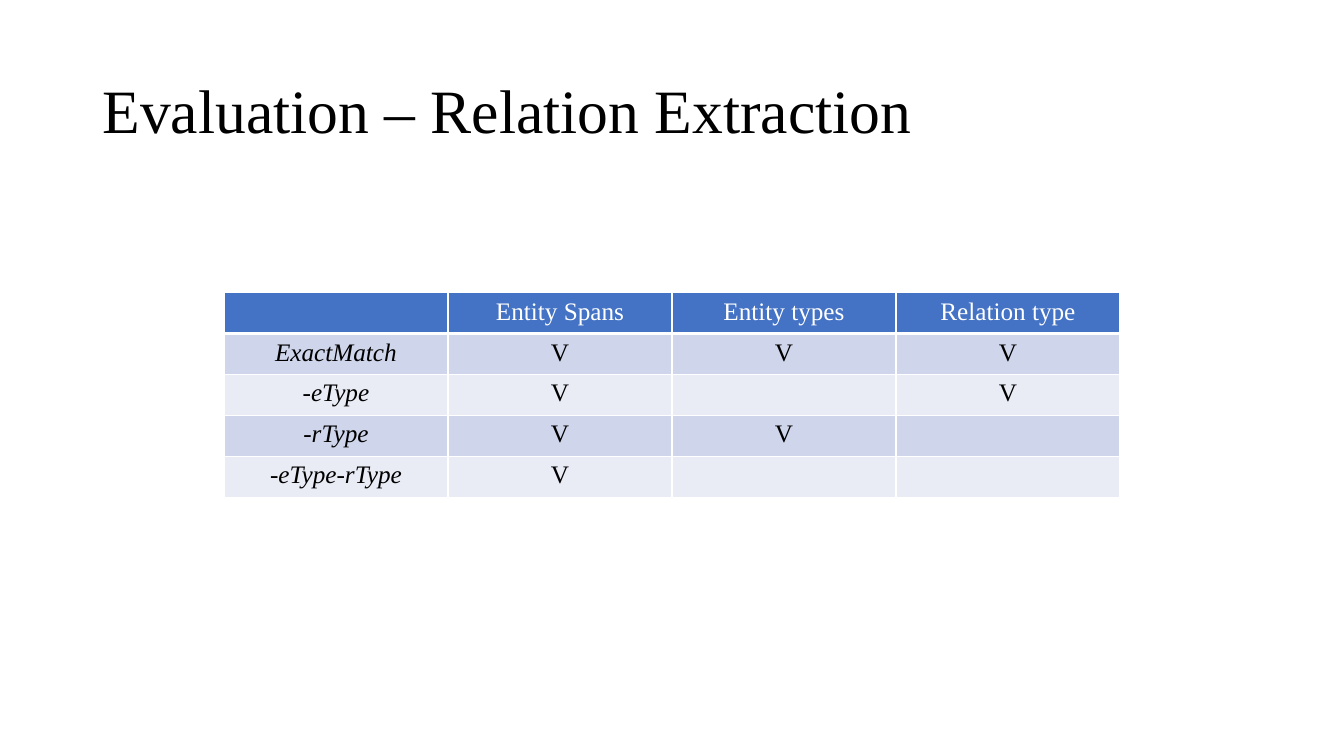
"""Build the relation extraction evaluation slide."""
from dataclasses import dataclass

from lxml.etree import SubElement
from pptx import Presentation
from pptx.dml.color import RGBColor
from pptx.enum.text import MSO_ANCHOR as Anchor, PP_ALIGN as Align
from pptx.oxml.ns import qn
from pptx.util import Inches, Pt

WIDTH, HEIGHT = 13.33, 7.5
FONT = "Times New Roman"
BLACK, WHITE = "000000", "FFFFFF"
HEADER_FILL = "4472C4"
BAND_FILLS = ("CFD5EA", "E9EBF5")
CRITERIA = ("Entity Spans", "Entity types", "Relation type")
ROW_HEIGHT = 0.406


@dataclass(frozen=True)
class Setting:
    name: str
    checks: tuple[bool, ...]


SETTINGS = (
    Setting("ExactMatch", (True, True, True)),
    Setting("-eType", (True, False, True)),
    Setting("-rType", (True, True, False)),
    Setting("-eType-rType", (True, False, False)),
)


def color(value: str) -> RGBColor:
    return RGBColor.from_string(value)


def across(share: float) -> int:
    return Inches(WIDTH * share)


def down(share: float) -> int:
    return Inches(HEIGHT * share)


def write(frame, text: str, *, size: float = 18, fill: str = BLACK,
          italic: bool = False, align=Align.CENTER) -> None:
    paragraph = frame.paragraphs[0]
    paragraph.alignment = align
    if not text:
        paragraph.font.size = Pt(size)
        return
    run = paragraph.add_run()
    run.text = text
    run.font.name = FONT
    run.font.size = Pt(size)
    run.font.italic = italic
    run.font.color.rgb = color(fill)


def draw_borders(cell, top: float, bottom: float) -> None:
    properties = cell._tc.get_or_add_tcPr()
    for side, points in (("L", 1), ("R", 1), ("T", top), ("B", bottom)):
        line = SubElement(properties, qn(f"a:ln{side}"), w=str(Pt(points)))
        fill = SubElement(line, qn("a:solidFill"))
        SubElement(fill, qn("a:srgbClr"), val=WHITE)


def draw_title(slide, text: str) -> None:
    box = slide.shapes.add_textbox(across(0.069), down(0.053), across(0.863), down(0.193))
    frame = box.text_frame
    frame.word_wrap = True
    frame.vertical_anchor = Anchor.MIDDLE
    write(frame, text, size=44, align=Align.LEFT)
    frame.paragraphs[0].line_spacing = 0.9


def draw_table(slide) -> None:
    rows = [("", *CRITERIA)]
    rows += [(item.name, *("V" if check else "" for check in item.checks)) for item in SETTINGS]
    table = slide.shapes.add_table(
        len(rows), len(rows[0]), across(1 / 6), down(0.387),
        across(2 / 3), Inches(ROW_HEIGHT * len(rows))).table
    for row_index, texts in enumerate(rows):
        header = row_index == 0
        band = HEADER_FILL if header else BAND_FILLS[(row_index - 1) % 2]
        for column_index, text in enumerate(texts):
            cell = table.cell(row_index, column_index)
            draw_borders(cell, top=3 if row_index == 1 else 1, bottom=3 if header else 1)
            cell.fill.solid()
            cell.fill.fore_color.rgb = color(band)
            write(cell.text_frame, text, fill=WHITE if header else BLACK,
                  italic=not header and column_index == 0)


def main() -> None:
    presentation = Presentation()
    presentation.slide_width = Inches(WIDTH)
    presentation.slide_height = Inches(HEIGHT)
    slide = presentation.slides.add_slide(presentation.slide_layouts[6])
    draw_title(slide, "Evaluation – Relation Extraction")
    draw_table(slide)
    presentation.save("out.pptx")


if __name__ == "__main__":
    main()
